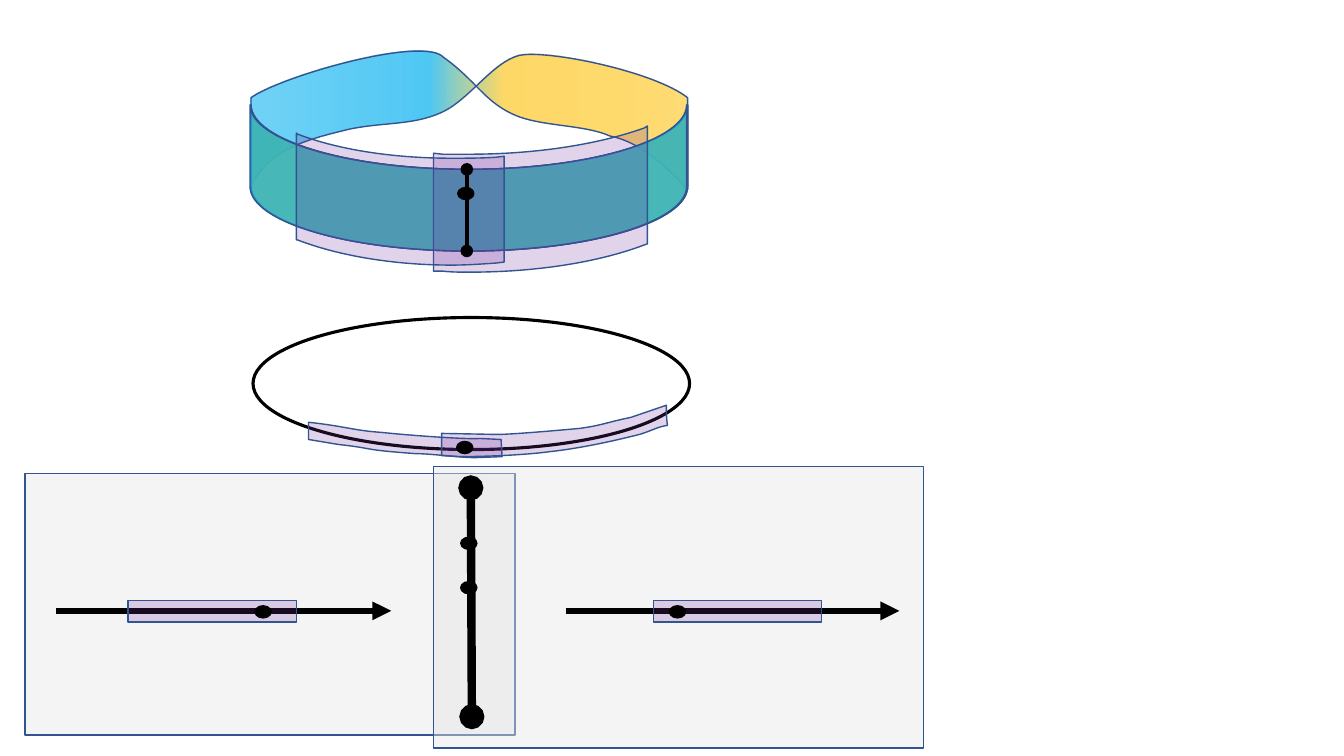
from lxml import etree
from pptx import Presentation
from pptx import util as u
from pptx.dml.color import RGBColor
from pptx.enum import shapes as kinds
from pptx.oxml.ns import qn

SLIDE_W, SLIDE_H = 13.33, 7.5
BLACK = RGBColor(0x00, 0x00, 0x00)
WHITE = RGBColor(0xFF, 0xFF, 0xFF)
GREY = RGBColor(0xE7, 0xE6, 0xE6)
BLUE = RGBColor(0x00, 0xB0, 0xF0)
GOLD = RGBColor(0xFF, 0xC0, 0x00)
PURPLE = RGBColor(0x70, 0x30, 0xA0)
OUTLINE = RGBColor(0x32, 0x54, 0x91)

DOT_W, DOT_H = 0.16, 0.12
AXIS_Y = 6.06
PATCH_W, PATCH_H = 1.67, 0.21

# Each outline is a start point, then line ends (x, y) and cubic curves (six numbers).
TWIST = [
    (2.49, 1.84), (2.68, 1.47, 3.07, 1.38, 3.43, 1.29),
    (3.77, 1.21, 4.08, 1.25, 4.37, 1.12), (4.65, 1, 4.88, 0.62, 5.15, 0.55),
    (5.43, 0.49, 6.49, 0.71, 6.82, 0.97), (6.82, 1.21, 6.82, 1.63, 6.82, 1.88),
    (6.55, 1.59, 6.31, 1.4, 6.05, 1.35), (5.78, 1.23, 5.35, 1.26, 5.08, 1.13),
    (4.8, 1, 4.71, 0.79, 4.4, 0.57), (4.2, 0.35, 2.78, 0.76, 2.49, 0.97),
    (2.49, 1.84)]
TWIST_STOPS = [(0, BLUE, 55), (41, BLUE, 69), (58, GOLD, 60), (98, GOLD, 55)]
FRONT_BAND = [
    (2.49, 1.04), (2.49, 1.39, 3.46, 1.68, 4.65, 1.68),
    (5.85, 1.68, 6.82, 1.39, 6.82, 1.04), (6.82, 1.85),
    (6.82, 2.2, 5.85, 2.49, 4.65, 2.49), (3.46, 2.49, 2.49, 2.2, 2.49, 1.85)]
BAND_CHARTS = [
    [(6.42, 1.25), (6.42, 2.42), (6.39, 2.43), (5.94, 2.6, 5.33, 2.7, 4.65, 2.7),
     (4.56, 2.7, 4.48, 2.7, 4.39, 2.69), (4.3, 2.69), (4.3, 1.52), (4.39, 1.53),
     (4.48, 1.53, 4.56, 1.53, 4.65, 1.53), (5.33, 1.53, 5.94, 1.43, 6.39, 1.27)],
    [(2.94, 1.32), (2.95, 1.33), (3.34, 1.48, 3.88, 1.57, 4.48, 1.57),
     (4.63, 1.57, 4.77, 1.57, 4.92, 1.56), (5, 1.55), (5, 2.6), (4.92, 2.61),
     (4.77, 2.62, 4.63, 2.63, 4.48, 2.63), (3.88, 2.63, 3.34, 2.53, 2.95, 2.38),
     (2.94, 2.38)]]
CIRCLE_CHARTS = [
    [(3.06, 4.19), (3.07, 4.19), (3.43, 4.23, 3.5, 4.27, 3.79, 4.29),
     (4.07, 4.32, 4.63, 4.36, 4.76, 4.35), (4.97, 4.36), (4.98, 4.53), (4.71, 4.54),
     (4.58, 4.54, 4.26, 4.5, 4.12, 4.5), (3.56, 4.46, 3.73, 4.45, 3.36, 4.41),
     (3.06, 4.36), (3.06, 4.19)],
    [(6.61, 4.02), (6.26, 4.14), (6.02, 4.19, 5.97, 4.22, 5.75, 4.25),
     (5.53, 4.27, 5.08, 4.31, 4.93, 4.31), (4.38, 4.3), (4.38, 4.52), (4.56, 4.53),
     (4.74, 4.53, 5.17, 4.52, 5.46, 4.48), (5.74, 4.45, 6.06, 4.38, 6.26, 4.33),
     (6.45, 4.29, 6.49, 4.24, 6.62, 4.22), (6.61, 4.15, 6.61, 4.09, 6.61, 4.02)]]


def set_alpha(color_element, percent):
    etree.SubElement(color_element, qn("a:alpha"), val=str(percent * 1000))


def paint(shape, color, alpha=100, outline=OUTLINE, width=1):
    shape.shadow.inherit = False
    shape.fill.solid()
    shape.fill.fore_color.rgb = color
    if alpha < 100:
        set_alpha(shape.element.spPr.find(qn("a:solidFill"))[0], alpha)
    shape.line.color.rgb = outline
    shape.line.width = u.Pt(width)


def paint_gradient(shape, stops):
    """Replace the fill by a left-to-right gradient of (position, colour, alpha)."""
    shape.fill.gradient()
    shape.fill.gradient_angle = 0
    stop_list = shape.element.spPr.find(qn("a:gradFill")).find(qn("a:gsLst"))
    for old_stop in list(stop_list):
        stop_list.remove(old_stop)
    for position, color, alpha in stops:
        stop = etree.SubElement(stop_list, qn("a:gs"), pos=str(position * 1000))
        set_alpha(etree.SubElement(stop, qn("a:srgbClr"), val=str(color)), alpha)


def bend(region, segments, shift):
    """Turn each straight side that has control points into a cubic curve."""
    sides = list(region.element.spPr.iter(qn("a:lnTo")))
    for side, segment in zip(sides, segments):
        if len(segment) == 2:
            continue
        side.tag = qn("a:cubicBezTo")
        end = side[0]
        for x, y in (segment[:2], segment[2:4]):
            end.addprevious(etree.Element(
                qn("a:pt"), x=str(u.Inches(x + shift) - region.left),
                y=str(u.Inches(y) - region.top)))


def add_region(shapes, outline, color, alpha, shift=0):
    corners = [(u.Inches(part[-2] + shift), u.Inches(part[-1])) for part in outline]
    builder = shapes.build_freeform(*corners[0])
    builder.add_line_segments(corners[1:], close=True)
    region = builder.convert_to_shape()
    bend(region, outline[1:], shift)
    paint(region, color, alpha)
    return region


def add_preset(shapes, kind, box, color, **look):
    paint(shapes.add_shape(kind, *map(u.Inches, box)), color, **look)


def add_box(shapes, box, color, alpha):
    add_preset(shapes, kinds.MSO_SHAPE.RECTANGLE, box, color, alpha=alpha)


def add_dot(shapes, left, top):
    add_preset(shapes, kinds.MSO_SHAPE.OVAL, (left, top, DOT_W, DOT_H), BLACK, outline=BLACK)


def add_line(shapes, start, end, width, tail, head=None):
    line = shapes.add_connector(kinds.MSO_CONNECTOR.STRAIGHT,
                                *map(u.Inches, (*start, *end)))
    line.line.color.rgb = BLACK
    line.line.width = u.Pt(width)
    properties = line.element.spPr
    stroke = properties.find(qn("a:ln"))
    if head:
        etree.SubElement(stroke, qn("a:headEnd"), type=head)
    etree.SubElement(stroke, qn("a:tailEnd"), type=tail)
    etree.SubElement(properties, qn("a:effectLst"))


def draw_mobius_band(shapes):
    paint_gradient(add_region(shapes, TWIST, BLUE, 100), TWIST_STOPS)
    for color, shift in ((BLUE, 0), (GOLD, 0), (BLUE, -0.01)):
        add_region(shapes, FRONT_BAND, color, 63, shift)
    for chart in BAND_CHARTS:
        add_region(shapes, chart, PURPLE, 21)
    add_line(shapes, (4.63, 1.68), (4.63, 2.49), 3, "oval", "oval")
    add_dot(shapes, 4.54, 1.86)


def draw_base_circle(shapes):
    add_preset(shapes, kinds.MSO_SHAPE.OVAL, (2.51, 3.15, 4.33, 1.31), WHITE,
               outline=BLACK, width=2.25)
    for chart in CIRCLE_CHARTS:
        add_region(shapes, chart, PURPLE, 21)
    add_dot(shapes, 4.53, 4.38)


def draw_local_axes(shapes):
    for start, end in ((0.56, 3.88), (5.61, 8.92)):
        add_line(shapes, (start, AXIS_Y), (end, AXIS_Y), 4.5, "triangle")
    add_line(shapes, (4.68, 7.11), (4.67, 4.84), 6, "oval", "oval")
    for left in (1.27, 6.48):
        add_box(shapes, (left, 5.96, PATCH_W, PATCH_H), PURPLE, 21)
    for left, top in ((4.57, 5.33), (4.57, 5.77), (2.53, 6.01), (6.64, 6.01)):
        add_dot(shapes, left, top)


def main():
    deck = Presentation()
    deck.slide_width, deck.slide_height = u.Inches(SLIDE_W), u.Inches(SLIDE_H)
    slide = deck.slides.add_slide(deck.slide_layouts[6])
    for panel in ((0.25, 4.7, 4.86, 2.59), (4.3, 4.63, 4.86, 2.79)):
        add_box(slide.shapes, panel, GREY, 44)
    bundle = slide.shapes.add_group_shape().shapes
    draw_mobius_band(bundle)
    draw_base_circle(bundle)
    draw_local_axes(slide.shapes)
    deck.save("out.pptx")


if __name__ == "__main__":
    main()
